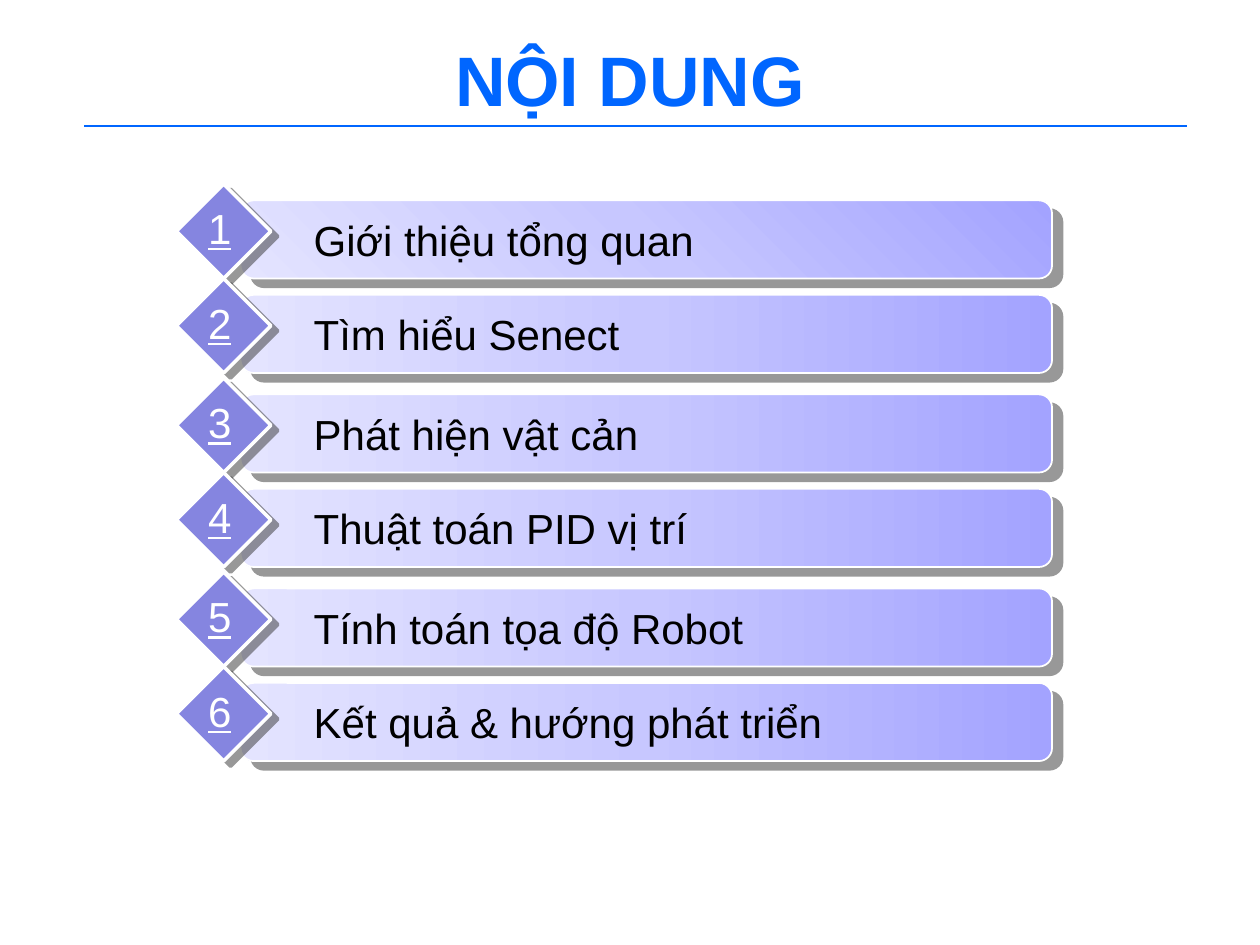
from lxml import etree
from pptx import Presentation
from pptx.dml.color import RGBColor
from pptx.enum.shapes import MSO_CONNECTOR, MSO_SHAPE
from pptx.enum.text import MSO_ANCHOR, MSO_AUTO_SIZE, PP_ALIGN
from pptx.oxml import parse_xml
from pptx.oxml.ns import nsdecls, qn
from pptx.util import Inches, Pt

STRAIGHT = MSO_CONNECTOR.STRAIGHT
ROUNDED = MSO_SHAPE.ROUNDED_RECTANGLE
DIAMOND = MSO_SHAPE.DIAMOND
MIDDLE = MSO_ANCHOR.MIDDLE
TOP = MSO_ANCHOR.TOP
LEFT = PP_ALIGN.LEFT
CENTER = PP_ALIGN.CENTER
FIT_SHAPE = MSO_AUTO_SIZE.SHAPE_TO_FIT_TEXT
NO_FIT = MSO_AUTO_SIZE.NONE

COLORS = {
    "title": "0066FF",
    "bar_dark": "A3A3FF",
    "bar_middle": "C7C7FF",
    "bar_light": "E4E4FF",
    "diamond": "8585E0",
    "shadow": "333333",
    "white": "FFFFFF",
    "black": "000000",
}
LINEAR = '<a:lin ang="10800000" scaled="1"/>'
RADIAL = '<a:path path="circle"><a:fillToRect l="100000" b="100000"/></a:path>'

TOPICS = [
    "Giới thiệu tổng quan",
    "Tìm hiểu Senect",
    "Phát hiện vật cản",
    "Thuật toán PID vị trí",
    "Tính toán tọa độ Robot",
    "Kết quả & hướng phát triển",
]
FIRST_TOP = 1.59
ROW_PITCH = 0.75
PAIR_PITCH = 1.54


class AgendaSlide:
    font_name = "Arial"

    def __init__(self, presentation):
        self.slide = presentation.slides.add_slide(presentation.slide_layouts[6])

    def color(self, name):
        return RGBColor.from_string(COLORS[name])

    def rule(self, left, right, top):
        line = self.slide.shapes.add_connector(
            STRAIGHT, Inches(left), Inches(top), Inches(right), Inches(top))
        line.line.color.rgb = self.color("title")
        line.line.width = Pt(1)
        etree.SubElement(line._element.spPr, qn("a:effectLst"))

    def text(self, shapes, box, content, size, color, align=LEFT, anchor=TOP,
             bold=False, underline=False, wrap=True, fit=FIT_SHAPE, indent=0.1):
        shape = shapes.add_textbox(*map(Inches, box))
        frame = shape.text_frame
        frame.word_wrap = wrap
        frame.auto_size = fit
        frame.vertical_anchor = anchor
        frame.margin_left = Inches(indent)
        paragraph = frame.paragraphs[0]
        paragraph.text = content
        paragraph.alignment = align
        font = paragraph.font
        font.name = self.font_name
        font.size = Pt(size)
        font.bold = bold
        font.underline = underline
        font.color.rgb = self.color(color)

    def outlined_shape(self, shapes, kind, box, line_width, distance, angle):
        shape = shapes.add_shape(kind, *map(Inches, box))
        shape.line.color.rgb = self.color("white")
        shape.line.width = Pt(line_width)
        shape.shadow.inherit = False
        effects = shape._element.spPr.find(qn("a:effectLst"))
        effects.append(parse_xml(
            f'<a:outerShdw {nsdecls("a")} blurRad="0" dist="{Pt(distance)}" '
            f'dir="{angle * 60000}" algn="ctr" rotWithShape="0">'
            f'<a:srgbClr val="{COLORS["shadow"]}"><a:alpha val="50000"/></a:srgbClr>'
            '</a:outerShdw>'))
        return shape

    def bar(self, shapes, top, direction):
        shape = self.outlined_shape(shapes, ROUNDED, (1.91, top, 6.44, 0.62), 1, 7.8, 40)
        shape.fill.background()
        stops = "".join(
            f'<a:gs pos="{position * 1000}"><a:srgbClr val="{COLORS[name]}"/></a:gs>'
            for position, name in ((0, "bar_dark"), (50, "bar_middle"), (100, "bar_light")))
        properties = shape._element.spPr
        properties.replace(properties.find(qn("a:noFill")), parse_xml(
            f'<a:gradFill {nsdecls("a")} rotWithShape="1">'
            f'<a:gsLst>{stops}</a:gsLst>{direction}</a:gradFill>'))

    def diamond(self, shapes, top):
        shape = self.outlined_shape(shapes, DIAMOND, (1.4, top, 0.75, 0.75), 2, 5, 37)
        shape.fill.solid()
        shape.fill.fore_color.rgb = self.color("diamond")

    def topic(self, number, content, top, direction):
        shapes = self.slide.shapes.add_group_shape().shapes
        self.bar(shapes, top, direction)
        self.diamond(shapes, top - 0.13)
        self.text(shapes, (2.3, top + 0.06, 5.06, 0.51), content, 24, "black", indent=0.19)
        self.text(shapes, (1.55, top - 0.03, 0.39, 0.51), str(number), 24, "white",
                  align=CENTER, underline=True, wrap=False)


def main():
    presentation = Presentation()
    presentation.slide_width = Inches(10)
    presentation.slide_height = Inches(7.5)
    agenda = AgendaSlide(presentation)
    agenda.rule(0.67, 9.42, 1)
    agenda.text(agenda.slide.shapes, (0, 0, 10, 1.25), "NỘI DUNG", 40, "title",
                align=CENTER, anchor=MIDDLE, bold=True, fit=NO_FIT)
    for index, content in enumerate(TOPICS):
        pair, row = divmod(index, 2)
        top = FIRST_TOP + pair * PAIR_PITCH + row * ROW_PITCH
        agenda.topic(index + 1, content, top, LINEAR if index else RADIAL)
    presentation.save("out.pptx")


if __name__ == "__main__":
    main()
